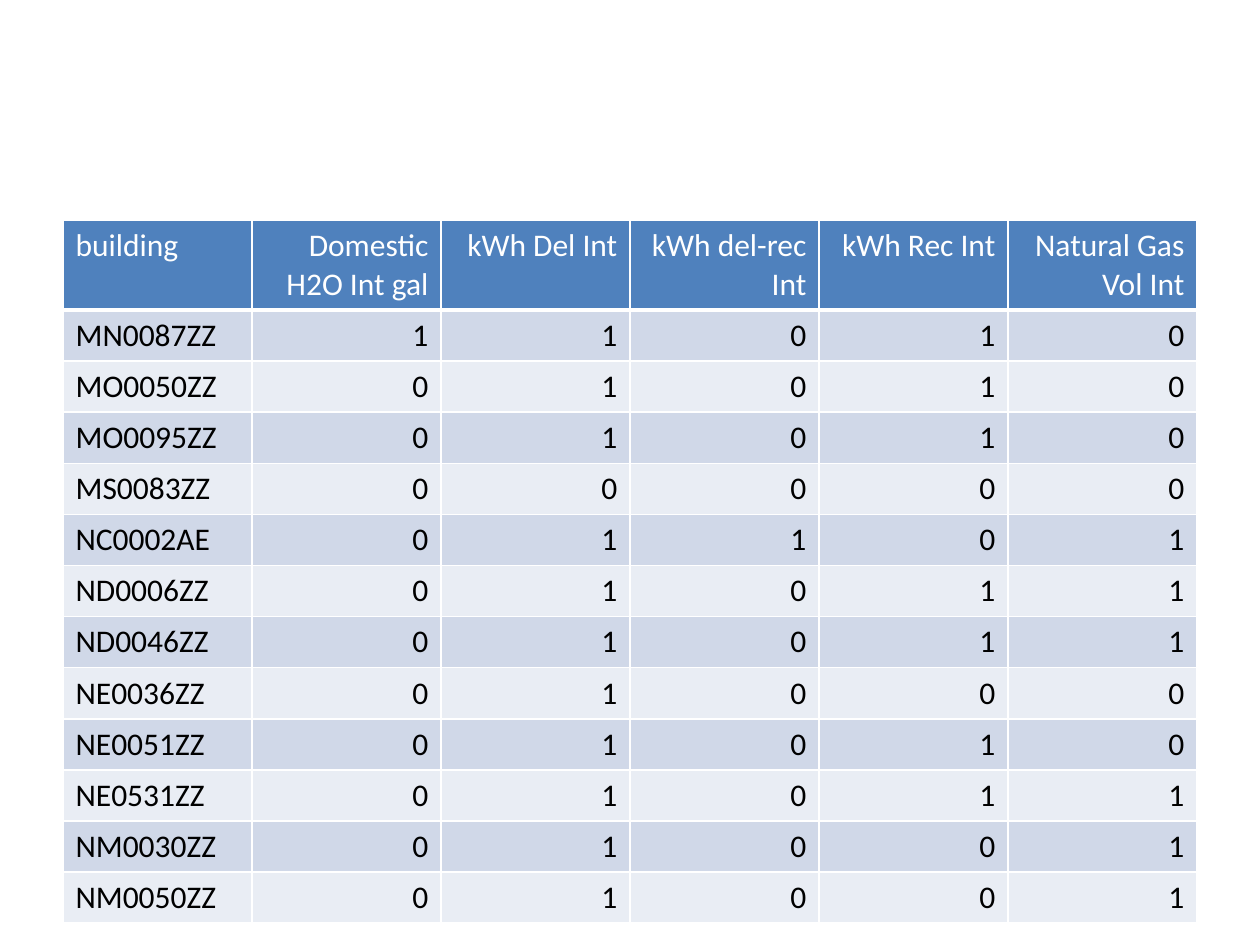
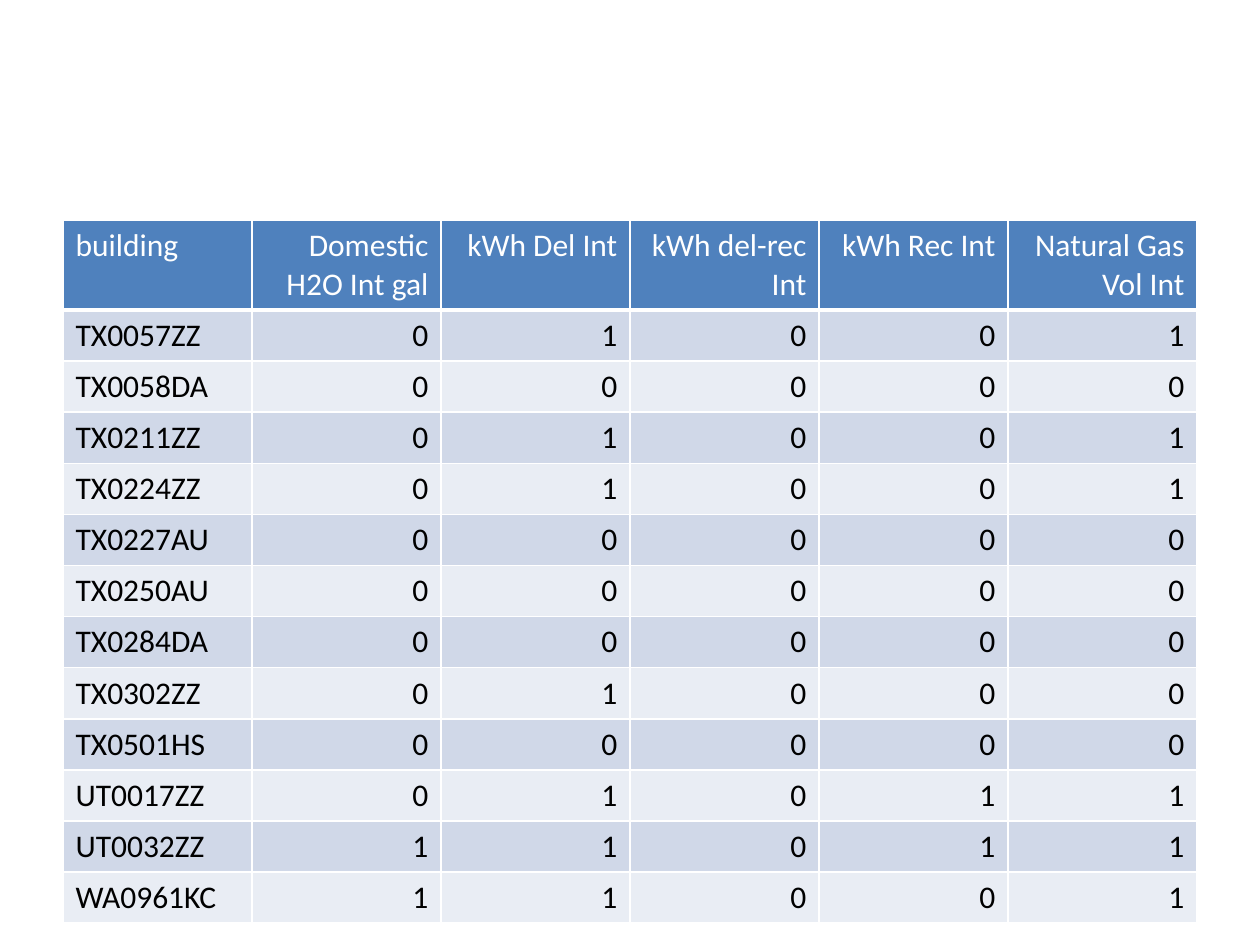
import pptx
import pptx.util
import pptx.dml.color
import pptx.enum.text
import pptx.oxml.ns
import lxml.etree
from dataclasses import dataclass

Inches = pptx.util.Inches
Pt = pptx.util.Pt

# Content: one table per slide, each row a building and its five flags
HEADS = ["building", "Domestic H2O Int gal", "kWh Del Int",
         "kWh del-rec Int", "kWh Rec Int", "Natural Gas Vol Int"]

PAGES = [
    [
        ("MN0087ZZ", 1, 1, 0, 1, 0),
        ("MO0050ZZ", 0, 1, 0, 1, 0),
        ("MO0095ZZ", 0, 1, 0, 1, 0),
        ("MS0083ZZ", 0, 0, 0, 0, 0),
        ("NC0002AE", 0, 1, 1, 0, 1),
        ("ND0006ZZ", 0, 1, 0, 1, 1),
        ("ND0046ZZ", 0, 1, 0, 1, 1),
        ("NE0036ZZ", 0, 1, 0, 0, 0),
        ("NE0051ZZ", 0, 1, 0, 1, 0),
        ("NE0531ZZ", 0, 1, 0, 1, 1),
        ("NM0030ZZ", 0, 1, 0, 0, 1),
        ("NM0050ZZ", 0, 1, 0, 0, 1),
    ],
    [
        ("TX0057ZZ", 0, 1, 0, 0, 1),
        ("TX0058DA", 0, 0, 0, 0, 0),
        ("TX0211ZZ", 0, 1, 0, 0, 1),
        ("TX0224ZZ", 0, 1, 0, 0, 1),
        ("TX0227AU", 0, 0, 0, 0, 0),
        ("TX0250AU", 0, 0, 0, 0, 0),
        ("TX0284DA", 0, 0, 0, 0, 0),
        ("TX0302ZZ", 0, 1, 0, 0, 0),
        ("TX0501HS", 0, 0, 0, 0, 0),
        ("UT0017ZZ", 0, 1, 0, 1, 1),
        ("UT0032ZZ", 1, 1, 0, 1, 1),
        ("WA0961KC", 1, 1, 0, 0, 1),
    ],
]


@dataclass(frozen=True)
class Theme:
    font: str = "Calibri"
    size: int = 18
    head: str = "4F81BD"
    bands: tuple = ("D0D8E8", "E9EDF4")
    light: str = "FFFFFF"
    dark: str = "000000"
    thin: int = 1
    thick: int = 3


THEME = Theme()

# Table frame, in inches
LEFT, TOP, WIDTH = 0.5, 1.75, 9
HEAD_H, ROW_H = 0.71, 0.4


def rgb(code):
    return pptx.dml.color.RGBColor.from_string(code)


def edge(cell, side, width):
    """Draw one border of a cell."""
    qn = pptx.oxml.ns.qn
    props = cell._tc.get_or_add_tcPr()
    line = lxml.etree.SubElement(props, qn("a:ln" + side), w=str(Pt(width)))
    fill = lxml.etree.SubElement(line, qn("a:solidFill"))
    lxml.etree.SubElement(fill, qn("a:srgbClr"), val=THEME.light)


def style(cell, text, row, col):
    """Write one cell with its borders, fill and text."""
    head = row == 0
    for side in "LRTB":
        edge(cell, side, THEME.thick if head and side == "B" else THEME.thin)
    cell.fill.solid()
    cell.fill.fore_color.rgb = rgb(
        THEME.head if head else THEME.bands[(row - 1) % 2])
    para = cell.text_frame.paragraphs[0]
    if col:
        para.alignment = pptx.enum.text.PP_ALIGN.RIGHT
    run = para.add_run()
    run.text = str(text)
    run.font.name = THEME.font
    run.font.size = Pt(THEME.size)
    run.font.bold = False
    run.font.color.rgb = rgb(THEME.light if head else THEME.dark)


def add_page(deck, rows):
    """Add a slide with the table of buildings."""
    slide = deck.slides.add_slide(deck.slide_layouts[6])
    grid = [HEADS, *rows]
    high = HEAD_H + ROW_H * len(rows)
    table = slide.shapes.add_table(
        len(grid), len(HEADS), Inches(LEFT), Inches(TOP),
        Inches(WIDTH), Inches(high)).table
    for col in table.columns:
        col.width = Inches(WIDTH / len(HEADS))
    for r, line in enumerate(grid):
        table.rows[r].height = Inches(ROW_H if r else HEAD_H)
        for c, text in enumerate(line):
            style(table.cell(r, c), text, r, c)


def main():
    deck = pptx.Presentation()
    deck.slide_width, deck.slide_height = Inches(10), Inches(7.5)
    for rows in PAGES:
        add_page(deck, rows)
    deck.save("out.pptx")


if __name__ == "__main__":
    main()
